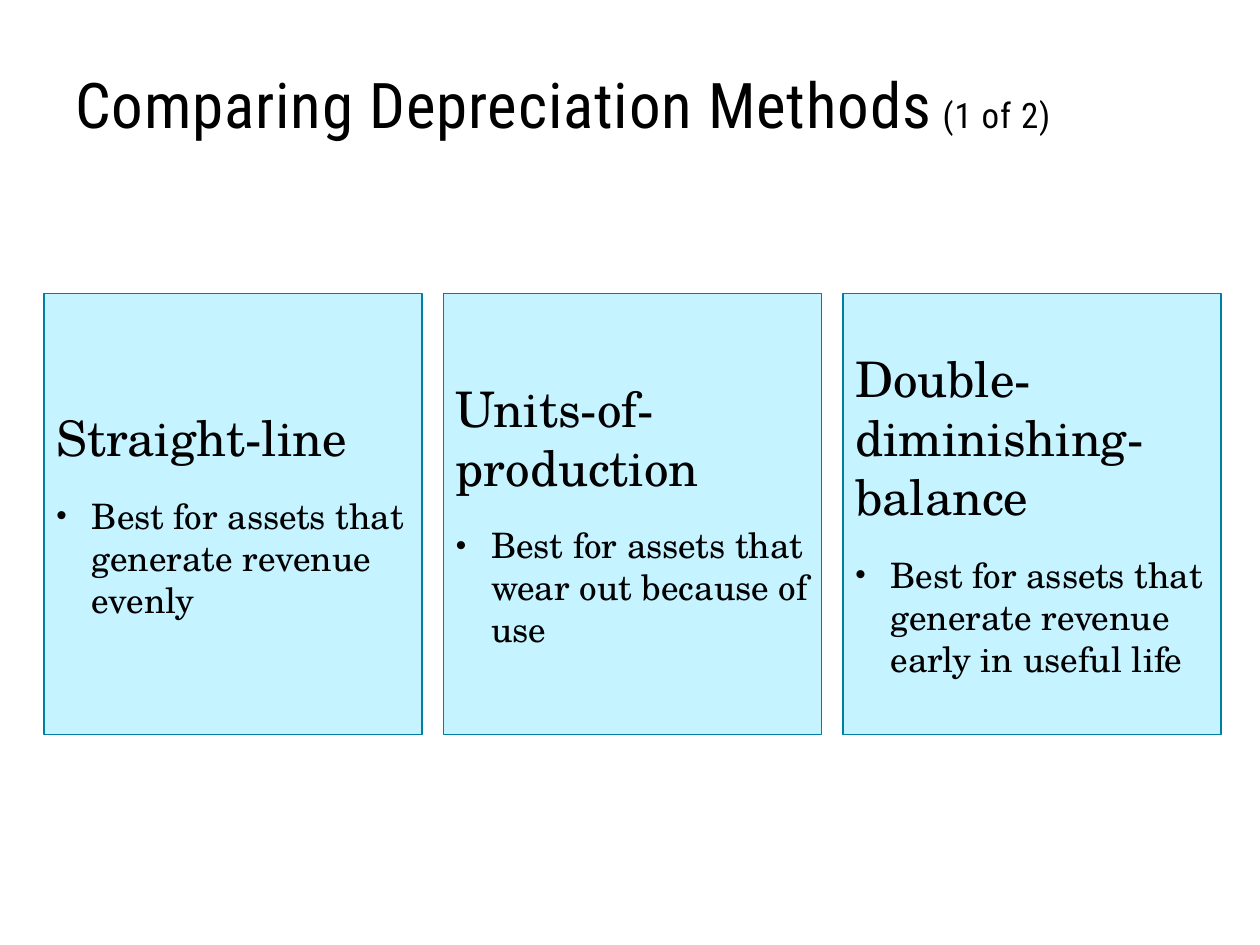
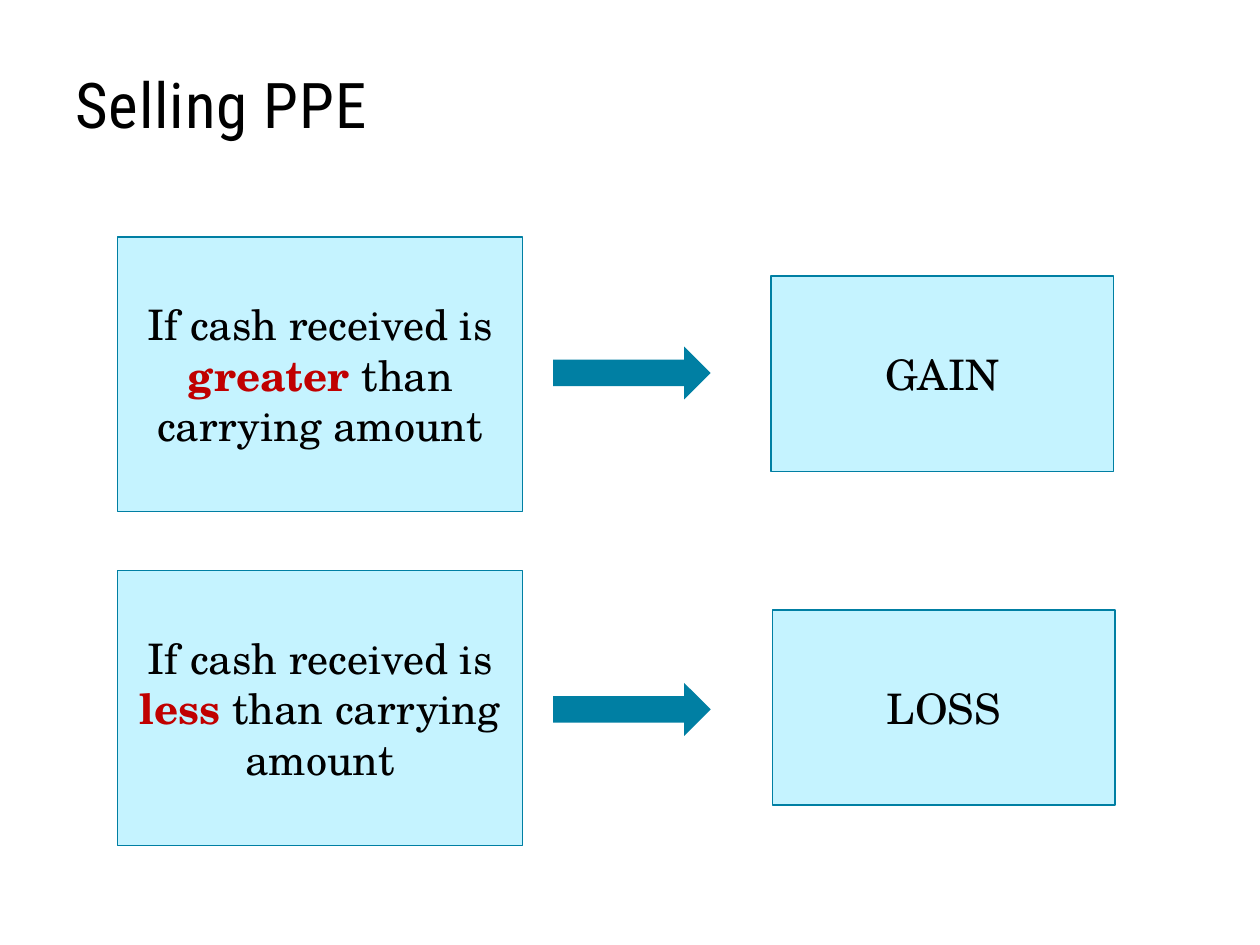
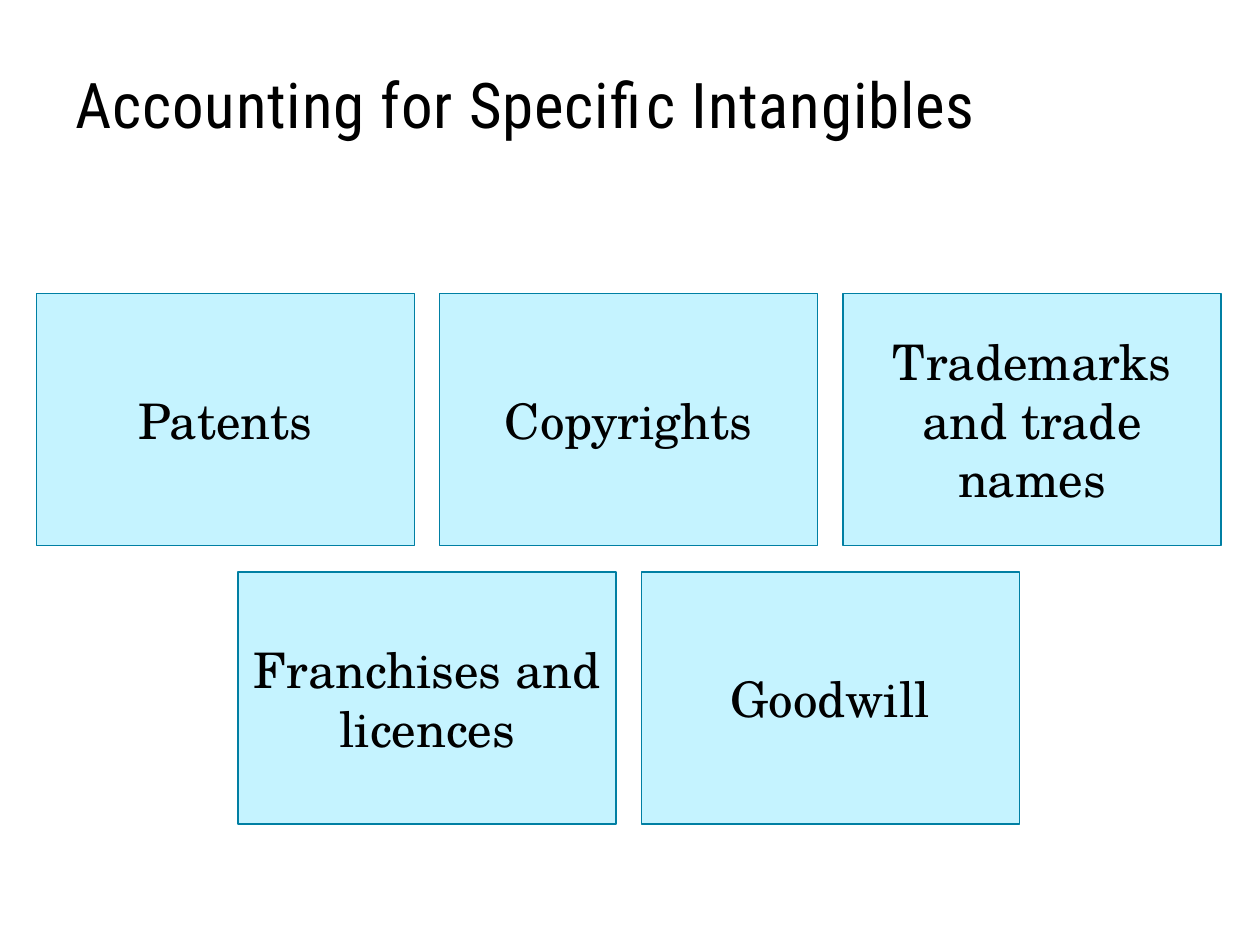
from pptx import Presentation
from pptx.dml.color import RGBColor as Rgb
from pptx.enum.shapes import MSO_SHAPE as Kind
from pptx.enum.text import MSO_ANCHOR as Anchor, PP_ALIGN as Align
from pptx.oxml.ns import qn
from pptx.util import Inches, Pt
from lxml.etree import SubElement as add_sub

COLORS = {"text": "000000", "box": "C5F3FF", "teal": "007FA3", "key": "C00000"}
HEAD_FONT = "Roboto Condensed"
BODY_FONT = "TeX Gyre Schola"
BOX_WIDTH = 3
TOP = 2.33


def color(name):
    return Rgb.from_string(COLORS[name])


def add_run(para, text, size, font=BODY_FONT, tint="text", bold=False):
    run = para.add_run()
    run.text = text
    run.font.size = Pt(size)
    run.font.name = font
    run.font.bold = bold
    run.font.color.rgb = color(tint)
    return run


def set_frame(frame, bottom=0.1):
    frame.word_wrap = True
    frame.vertical_anchor = Anchor.MIDDLE
    frame.margin_left = frame.margin_right = frame.margin_top = Inches(0.1)
    frame.margin_bottom = Inches(bottom)


def add_title(slide, text, part=""):
    box = slide.shapes.add_textbox(Inches(0.5), Inches(0.24), Inches(9), Inches(1.2))
    set_frame(box.text_frame, 0.05)
    para = box.text_frame.paragraphs[0]
    para.line_spacing = 0.85
    for words, size in ((text, 36), (part, 20)):
        if words:
            run = add_run(para, words, size, HEAD_FONT)
            run.font._element.set("spc", "50")


def add_solid(slide, kind, left, top, width, height, fill):
    shape = slide.shapes.add_shape(
        kind, Inches(left), Inches(top), Inches(width), Inches(height))
    shape.shadow.inherit = False
    shape.fill.solid()
    shape.fill.fore_color.rgb = color(fill)
    shape.line.fill.background()
    return shape


def add_box(slide, left, top, width, height, align=Align.CENTER):
    box = add_solid(slide, Kind.RECTANGLE, left, top, width, height, "box")
    box.line.color.rgb = color("teal")
    box.line.width = Pt(0.75)
    set_frame(box.text_frame)
    para = box.text_frame.paragraphs[0]
    para.alignment = align
    return para, box.text_frame


def add_bullet(para):
    props = para._p.get_or_add_pPr()
    props.set("marL", str(Inches(0.28)))
    props.set("indent", str(-Inches(0.28)))
    tint = add_sub(props, qn("a:buClr"))
    add_sub(tint, qn("a:srgbClr"), val=COLORS["text"])
    add_sub(props, qn("a:buSzPct"), val="85000")
    add_sub(props, qn("a:buFont"), typeface="Arial")
    add_sub(props, qn("a:buChar"), char="•")


def add_method(slide, left, name, use):
    head, frame = add_box(slide, left, TOP, BOX_WIDTH, 3.5, Align.LEFT)
    head.space_after = Pt(8)
    add_run(head, name, 28)
    item = frame.add_paragraph()
    add_bullet(item)
    item.alignment = Align.LEFT
    item.space_before = Pt(8)
    add_run(item, use, 20)


def add_case(slide, top, tip, end, word, result):
    para, _ = add_box(slide, 0.93, top, 3.22, 2.18)
    add_run(para, "If cash received is ", 24)
    add_run(para, word + " ", 24, tint="key", bold=True)
    add_run(para, "than carrying amount", 24)
    add_solid(slide, Kind.RIGHT_ARROW, 4.39, tip, 1.25, 0.42, "teal")
    para, _ = add_box(slide, end, top + 0.31, 2.72, 1.55)
    add_run(para, result, 24)


def add_row(slide, left, top, names):
    for col, name in enumerate(names):
        para, _ = add_box(slide, left + col * 3.2, top, BOX_WIDTH, 2)
        add_run(para, name, 28)


def show_methods(slide):
    add_title(slide, "Comparing Depreciation Methods", " (1 of 2)")
    methods = (
        ("Straight-line", "Best for assets that generate revenue evenly"),
        ("Units-of-production", "Best for assets that wear out because of use"),
        ("Double-diminishing-balance",
         "Best for assets that generate revenue early in useful life"),
    )
    for col, (name, use) in enumerate(methods):
        add_method(slide, 0.35 + col * 3.17, name, use)


def show_sales(slide):
    add_title(slide, "Selling PPE")
    add_case(slide, 1.88, 2.75, 6.12, "greater", "GAIN")
    add_case(slide, 4.53, 5.42, 6.13, "less", "LOSS")


def show_assets(slide):
    add_title(slide, "Accounting for Specific Intangibles")
    add_row(slide, 0.29, TOP, ("Patents", "Copyrights", "Trademarks and trade names"))
    add_row(slide, 1.89, 4.54, ("Franchises and licences", "Goodwill"))


def main():
    deck = Presentation()
    deck.slide_width = Inches(10)
    deck.slide_height = Inches(7.5)
    for show in (show_methods, show_sales, show_assets):
        show(deck.slides.add_slide(deck.slide_layouts[6]))
    deck.save("out.pptx")


if __name__ == "__main__":
    main()
